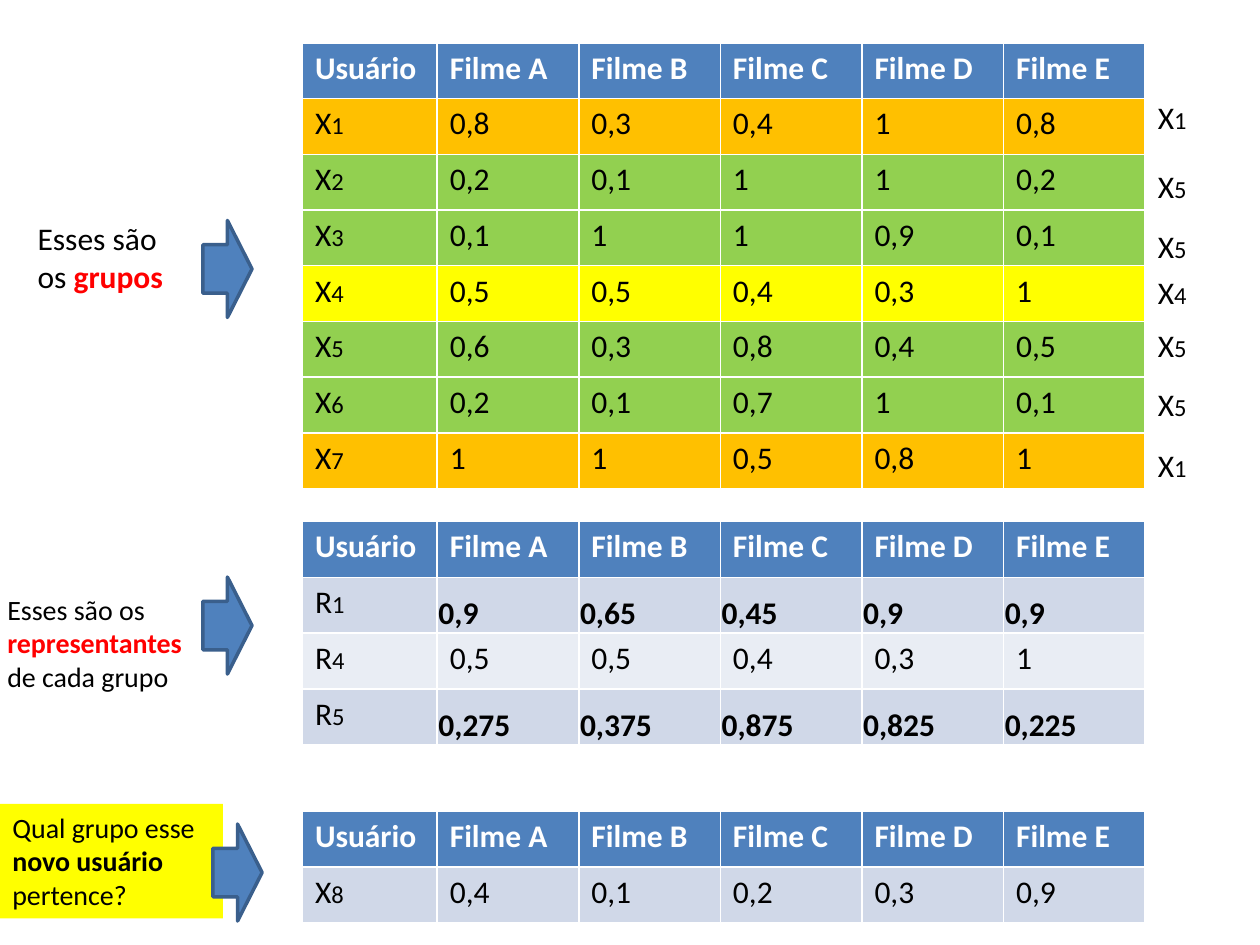
from pptx import Presentation
from pptx.dml.color import RGBColor
from pptx.enum.shapes import MSO_SHAPE
from pptx.enum.text import MSO_ANCHOR, MSO_AUTO_SIZE
from pptx.util import Inches, Pt

RIGHT_ARROW = MSO_SHAPE.RIGHT_ARROW
BOTTOM = MSO_ANCHOR.BOTTOM
FIT_TEXT = MSO_AUTO_SIZE.SHAPE_TO_FIT_TEXT

BLACK = RGBColor(0x00, 0x00, 0x00)
WHITE = RGBColor(0xFF, 0xFF, 0xFF)
RED = RGBColor(0xFF, 0x00, 0x00)
BLUE = RGBColor(0x4F, 0x81, 0xBD)
DARK_BLUE = RGBColor(0x3A, 0x5F, 0x8C)
ORANGE = RGBColor(0xFF, 0xC0, 0x00)
GREEN = RGBColor(0x92, 0xD0, 0x50)
YELLOW = RGBColor(0xFF, 0xFF, 0x00)
BAND_DARK = RGBColor(0xD0, 0xD8, 0xE8)
BAND_LIGHT = RGBColor(0xE9, 0xED, 0xF4)

FONT = "Calibri"
TABLE_LEFT, TABLE_WIDTH = 2.4, 6.69
USER_SHARE = 0.16
ROW = 0.4425
HEADER = ["Usuário"] + [f"Filme {letter}" for letter in "ABCDE"]

# Each row: name, ratings, fill, whether the ratings are group averages
USERS = [
    ("X1", "0,8 0,3 0,4 1 0,8", ORANGE, False),
    ("X2", "0,2 0,1 1 1 0,2", GREEN, False),
    ("X3", "0,1 1 1 0,9 0,1", GREEN, False),
    ("X4", "0,5 0,5 0,4 0,3 1", YELLOW, False),
    ("X5", "0,6 0,3 0,8 0,4 0,5", GREEN, False),
    ("X6", "0,2 0,1 0,7 1 0,1", GREEN, False),
    ("X7", "1 1 0,5 0,8 1", ORANGE, False),
]
REPRESENTATIVES = [
    ("R1", "0,9 0,65 0,45 0,9 0,9", BAND_DARK, True),
    ("R4", "0,5 0,5 0,4 0,3 1", BAND_LIGHT, False),
    ("R5", "0,275 0,375 0,875 0,825 0,225", BAND_DARK, True),
]
NEW_USER = [("X8", "0,4 0,1 0,2 0,3 0,9", BAND_DARK, False)]
GROUP_LABELS = [("X1", 0.73), ("X5", 1.28), ("X5", 1.75), ("X4", 2.12),
                ("X5", 2.54), ("X5", 3.01), ("X1", 3.49)]


def add_span(para, text, size=18, color=BLACK, bold=False):
    span = para.add_run()
    span.text = text
    span.font.name = FONT
    span.font.size = Pt(size)
    span.font.bold = bold
    span.font.color.rgb = color


def add_name(para, name):
    """Write a letter followed by its smaller index."""
    add_span(para, name[0])
    add_span(para, name[1:], 14)


def add_text_box(page, box):
    shape = page.shapes.add_textbox(*map(Inches, box))
    shape.text_frame.word_wrap = True
    shape.text_frame.auto_size = FIT_TEXT
    return shape


def add_note(page, box, size, spans, fill=None):
    note = add_text_box(page, box)
    if fill is not None:
        note.fill.solid()
        note.fill.fore_color.rgb = fill
    for text, color, bold in spans:
        add_span(note.text_frame.paragraphs[0], text, size, color, bold)


def add_arrow(page, left, top):
    arrow = page.shapes.add_shape(
        RIGHT_ARROW, Inches(left), Inches(top), Inches(0.39), Inches(0.77))
    arrow.shadow.inherit = False
    arrow.fill.solid()
    arrow.fill.fore_color.rgb = BLUE
    arrow.line.color.rgb = DARK_BLUE
    arrow.line.width = Pt(2)


def fill_cell(cell, color):
    cell.fill.solid()
    cell.fill.fore_color.rgb = color
    return cell.text_frame.paragraphs[0]


def add_ratings(page, top, rows):
    """Place a table of film ratings, one row per user."""
    height = ROW * (len(rows) + 1)
    table = page.shapes.add_table(
        len(rows) + 1, len(HEADER), Inches(TABLE_LEFT), Inches(top),
        Inches(TABLE_WIDTH), Inches(height)).table
    film_share = (1 - USER_SHARE) / (len(HEADER) - 1)
    for index, column in enumerate(table.columns):
        column.width = Inches(TABLE_WIDTH * (film_share if index else USER_SHARE))
    for index, title in enumerate(HEADER):
        add_span(fill_cell(table.cell(0, index), BLUE), title, color=WHITE, bold=True)
    for row, (name, ratings, color, averaged) in enumerate(rows, 1):
        add_name(fill_cell(table.cell(row, 0), color), name)
        for column, rating in enumerate(ratings.split(), 1):
            cell = table.cell(row, column)
            add_span(fill_cell(cell, color), rating, bold=averaged)
            if averaged:
                cell.vertical_anchor = BOTTOM
                cell.margin_left = cell.margin_right = cell.margin_top = Inches(0.01)
                cell.margin_bottom = 0


def add_group_labels(page):
    for name, top in GROUP_LABELS:
        label = add_text_box(page, (TABLE_LEFT + TABLE_WIDTH, top, 0.55, 0.4))
        add_name(label.text_frame.paragraphs[0], name)


def main():
    deck = Presentation()
    deck.slide_width, deck.slide_height = Inches(10), Inches(7.5)
    page = deck.slides.add_slide(deck.slide_layouts[6])

    add_ratings(page, 0.34, USERS)
    add_group_labels(page)
    add_note(page, (0.2, 1.69, 1.26, 0.71), 18,
             [("Esses são os ", BLACK, False), ("grupos", RED, True)])
    add_arrow(page, 1.61, 1.75)

    add_ratings(page, 4.14, REPRESENTATIVES)
    add_note(page, (-0.04, 4.65, 1.77, 0.91), 16,
             [("Esses são os ", BLACK, False), ("representantes ", RED, True),
              ("de cada grupo", BLACK, False)])
    add_arrow(page, 1.61, 4.58)

    add_ratings(page, 6.44, NEW_USER)
    add_note(page, (0, 6.38, 1.77, 0.91), 16,
             [("Qual grupo esse ", BLACK, False), ("novo usuário ", BLACK, True),
              ("pertence?", BLACK, False)], YELLOW)
    add_arrow(page, 1.69, 6.54)

    deck.save("out.pptx")


if __name__ == "__main__":
    main()
